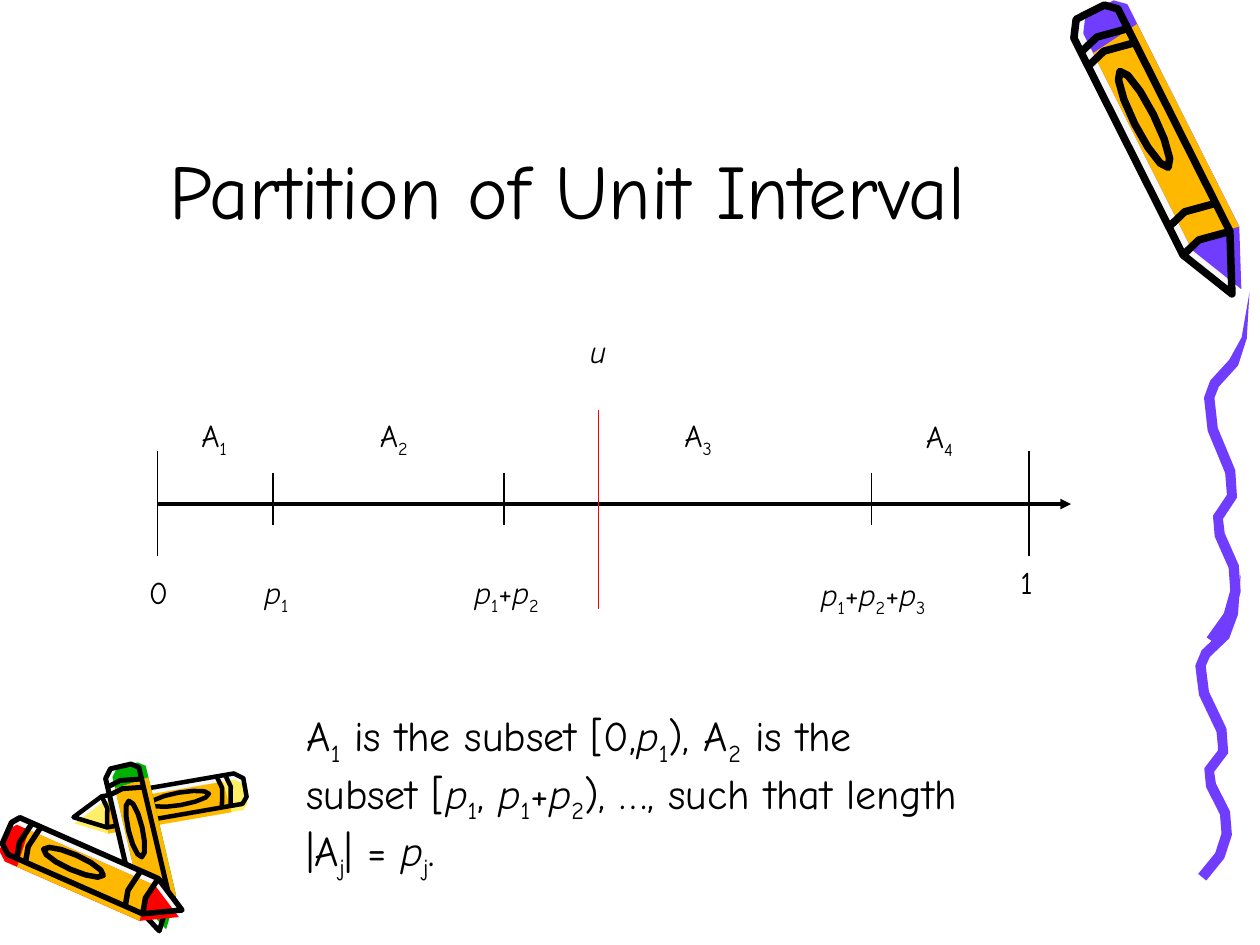
from math import cos, hypot, pi, sin

from lxml.etree import SubElement
from pptx import Presentation
from pptx.dml.color import RGBColor
from pptx.enum.shapes import MSO_CONNECTOR
from pptx.enum.text import MSO_ANCHOR, MSO_AUTO_SIZE, PP_ALIGN
from pptx.oxml.ns import qn
from pptx.util import Pt

BLACK = RGBColor(0x00, 0x00, 0x00)
RED = RGBColor(0xFF, 0x00, 0x00)
PURPLE = RGBColor(0x70, 0x3D, 0xFF)
ORANGE = RGBColor(0xFF, 0xB8, 0x00)
YELLOW = RGBColor(0xFF, 0xEF, 0x66)
GREEN = RGBColor(0x00, 0xB2, 0x00)
PALE = RGBColor(0xF8, 0xF8, 0xF8)
FONT = "Comic Neue"

deck = Presentation()
deck.slide_width, deck.slide_height = Pt(720), Pt(540)
page = deck.slides.add_slide(deck.slide_layouts[6])


def add_outline(points, fill=None, ink=None, closed=True):
    """Draw a polygon or open stroke; ink is the width of a black line."""
    corners = [(Pt(x), Pt(y)) for x, y in points]
    builder = page.shapes.build_freeform(*corners[0])
    builder.add_line_segments(corners[1:], close=closed)
    outline = builder.convert_to_shape()
    outline.shadow.inherit = False
    if fill is None:
        outline.fill.background()
    else:
        outline.fill.solid()
        outline.fill.fore_color.rgb = fill
    if ink is None:
        outline.line.fill.background()
    else:
        outline.line.color.rgb = BLACK
        outline.line.width = Pt(ink)


def add_text(x, y, width, height, spans, size=18):
    """Each span is text; a leading / makes it italic, a leading _ a subscript."""
    box = page.shapes.add_textbox(Pt(x), Pt(y), Pt(width), Pt(height))
    box.text_frame.word_wrap = True
    box.text_frame.auto_size = MSO_AUTO_SIZE.SHAPE_TO_FIT_TEXT
    para = box.text_frame.paragraphs[0]
    for text in spans:
        span = para.add_run()
        span.text = text.lstrip("/_")
        span.font.name, span.font.size = FONT, Pt(size)
        span.font.color.rgb = BLACK
        if text[0] == "/":
            span.font.italic = True
        elif text[0] == "_":
            span._r.get_or_add_rPr().set("baseline", "-25000")
    return box


# One crayon design: (along, across), along 0 = blunt end, 1 = tip,
# across -0.5 to 0.5 = the two sides
body = [(0.05, 0.5), (0, 0.3), (0, -0.3), (0.03, -0.5), (0.82, -0.5), (1, 0), (0.82, 0.5)]
sleeve = [(0.12, 0.5), (0.1, -0.5), (0.82, -0.5), (0.8, 0), (0.82, 0.5)]
oval = [(0.38 + 0.17 * cos(step * pi / 6), 0.2 * sin(step * pi / 6)) for step in range(12)]
bands = [[(at, 0.5), (at - 0.02, 0.1), (at, -0.5)] for at in (0.1, 0.15, 0.72, 0.82)]

# Blunt end, tip, thickness, wax colour, sideways shift of the colour
crayons = [
    ((140, 450), (42, 467), 18, YELLOW, -0.2),
    ((69, 438), (91, 532), 20, GREEN, -0.2),
    ((4, 476), (104, 520), 22, RED, 0.2),
    ((623, 7), (704, 168), 30, PURPLE, -0.2),
]
for (end_x, end_y), (tip_x, tip_y), thickness, wax, shift in crayons:
    run_x, run_y = tip_x - end_x, tip_y - end_y
    length = hypot(run_x, run_y)
    side_x, side_y = -run_y / length * thickness, run_x / length * thickness
    ink = thickness / 7
    layers = [
        (body, 0, PALE, None, True),
        (body, shift, wax, None, True),
        (sleeve, shift, ORANGE, None, True),
        (body, 0, None, ink, True),
        (oval, 0, None, ink, True),
    ]
    layers += [(band, 0, None, ink, False) for band in bands]
    for design, offset, fill, stroke, closed in layers:
        placed = [(end_x + along * run_x + (across + offset) * side_x,
                   end_y + along * run_y + (across + offset) * side_y)
                  for along, across in design]
        add_outline(placed, fill, stroke, closed)

# Squiggle: one wavy ribbon, drawn twice, the lower one shorter.
# Swings are (points left of the start, share of the height)
swings = [(0, 0), (3, 0.13), (9, 0.2), (20, 0.26), (23, 0.3), (21, 0.39), (11, 0.51),
          (10, 0.58), (18, 0.64), (17, 0.69), (9, 0.78), (8, 0.85), (12, 0.92), (22, 0.99)]
for start_x, start_y, height in [(709, 328, 175), (714, 167, 201)]:
    middle = [(start_x - left, start_y + share * height) for left, share in swings]
    left_edge, right_edge = [], []
    for index, (x, y) in enumerate(middle):
        before_x, before_y = middle[max(index - 1, 0)]
        after_x, after_y = middle[min(index + 1, len(middle) - 1)]
        step_x, step_y = after_x - before_x, after_y - before_y
        half = min(index * 1.5, 3) / hypot(step_x, step_y)  # pointed start
        left_edge.append((x - half * step_y, y + half * step_x))
        right_edge.append((x + half * step_y, y - half * step_x))
    add_outline(left_edge + right_edge[::-1], PURPLE)

# Title
title = add_text(54, 12, 541, 126, ["Partition of Unit Interval"], 44)
title.text_frame.auto_size = MSO_AUTO_SIZE.NONE
title.text_frame.vertical_anchor = MSO_ANCHOR.BOTTOM
title.text_frame.paragraphs[0].alignment = PP_ALIGN.CENTER

# Axis with arrowhead, end ticks, inner ticks and the marker for u
axis = (90, 288, 612, 288, BLACK, 2)
end_ticks = [(x, 258, x, 318, BLACK, 0.75) for x in (90, 588)]
inner_ticks = [(x, 270, x, 300, BLACK, 0.75) for x in (156, 288, 498)]
marker = (342, 234, 342, 348, RED, 0.75)
for stroke in [axis, *end_ticks, *inner_ticks, marker]:
    x1, y1, x2, y2, color, width = stroke
    line = page.shapes.add_connector(MSO_CONNECTOR.STRAIGHT, Pt(x1), Pt(y1), Pt(x2), Pt(y2))
    line.line.color.rgb = color
    line.line.width = Pt(width)
    SubElement(line._element.spPr, qn("a:effectLst"))
    if stroke is axis:
        SubElement(line.line._get_or_add_ln(), qn("a:tailEnd"), type="triangle")

# Labels of points and subsets
labels = [
    (78, 324, 42, ["0"]),
    (576, 318, 30, ["1"]),
    (144, 324, 42, ["/p", "_1"]),
    (264, 324, 72, ["/p", "_1", "+", "/p", "_2"]),
    (462, 325, 84, ["/p", "_1", "+", "/p", "_2", "+", "/p", "_3"]),
    (108, 234, 36, ["A", "_1"]),
    (210, 234, 60, ["A", "_2"]),
    (384, 234, 60, ["A", "_3"]),
    (522, 235, 42, ["A", "_4"]),
    (330, 186, 36, ["/u"]),
]
for x, y, width, spans in labels:
    add_text(x, y, width, 29, spans)

# Explanation
add_text(168, 402, 396, 93.6, [
    "A", "_1", " is the subset [0,", "/p", "_1", "), A", "_2", " is the subset [",
    "/p", "_1", ", ", "/p", "_1", "+", "/p", "_2", "), …, such that length |A", "_j",
    "| = ", "/p", "_j", ".",
], 24)

deck.save("out.pptx")
